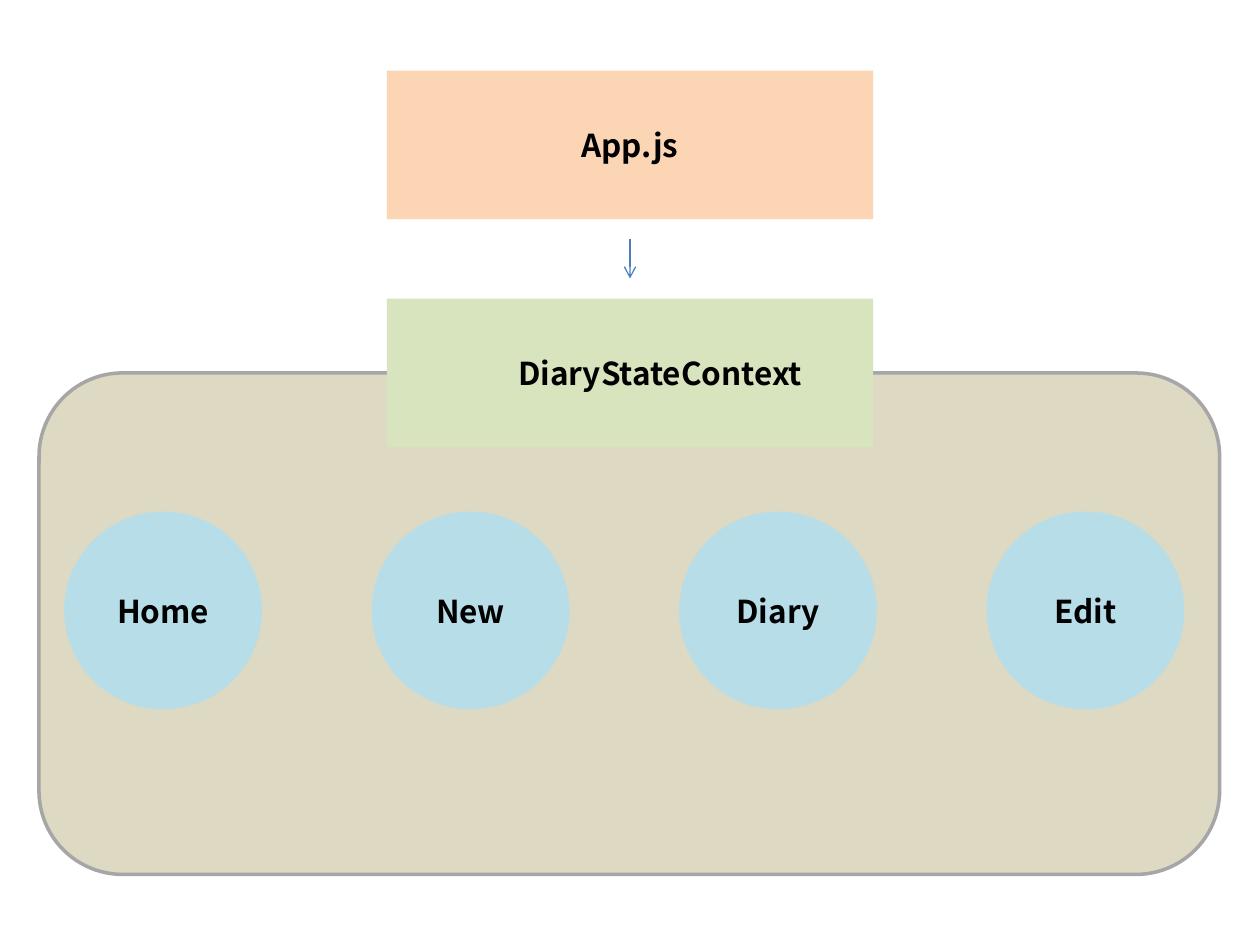
from lxml.etree import SubElement
from pptx import Presentation
from pptx.dml.color import RGBColor
from pptx.enum.shapes import MSO_CONNECTOR, MSO_SHAPE
from pptx.enum.text import MSO_ANCHOR, PP_ALIGN
from pptx.oxml.ns import qn
from pptx.util import Inches, Pt

FONT = "Noto Sans CJK KR"

deck = Presentation()
deck.slide_width = Inches(10)
deck.slide_height = Inches(7.5)
page = deck.slides.add_slide(deck.slide_layouts[6])


def add_block(kind, left, top, width, height, color):
    block = page.shapes.add_shape(
        kind, Inches(left), Inches(top), Inches(width), Inches(height))
    block.shadow.inherit = False
    block.fill.solid()
    block.fill.fore_color.rgb = RGBColor.from_string(color)
    block.line.fill.background()
    return block


def add_label(text, left, top, width):
    box = page.shapes.add_textbox(
        Inches(left), Inches(top), Inches(width), Inches(0.4))
    frame = box.text_frame
    frame.word_wrap = True
    frame.vertical_anchor = MSO_ANCHOR.MIDDLE
    para = frame.paragraphs[0]
    para.alignment = PP_ALIGN.CENTER
    span = para.add_run()
    span.text = text
    span.font.name = FONT
    span.font.size = Pt(18)
    span.font.bold = True
    span.font.color.rgb = RGBColor.from_string("000000")


# Context area behind the pages
area = add_block(MSO_SHAPE.ROUNDED_RECTANGLE, 0.31, 2.96, 9.37, 3.98, "DDD9C3")
area.line.color.rgb = RGBColor.from_string("A6A6A6")
area.line.width = Pt(2)

# App and context provider
for name, top, color, label_width in [
    ("App.js", 0.56, "FCD5B5", 2.2),
    ("DiaryStateContext", 2.37, "D7E4BD", 2.68),
]:
    add_block(MSO_SHAPE.RECTANGLE, 3.07, top, 3.86, 1.18, color)
    add_label(name, 3.9, top + 0.39, label_width)

# Page circles at equal steps
for index, name in enumerate(["Home", "New", "Diary", "Edit"]):
    left = 0.51 + 2.44 * index
    add_block(MSO_SHAPE.OVAL, left, 4.06, 1.57, 1.57, "B7DEE8")
    add_label(name, left - 0.08, 4.65, 1.73)

# Arrow from app to context
arrow = page.shapes.add_connector(
    MSO_CONNECTOR.STRAIGHT, Inches(5), Inches(1.9), Inches(5), Inches(2.21))
arrow.line.color.rgb = RGBColor.from_string("4B7EBC")
arrow.line.width = Pt(0.75)
SubElement(arrow.line._get_or_add_ln(), qn("a:tailEnd"), type="arrow")
SubElement(arrow._element.spPr, qn("a:effectLst"))

deck.save("out.pptx")
